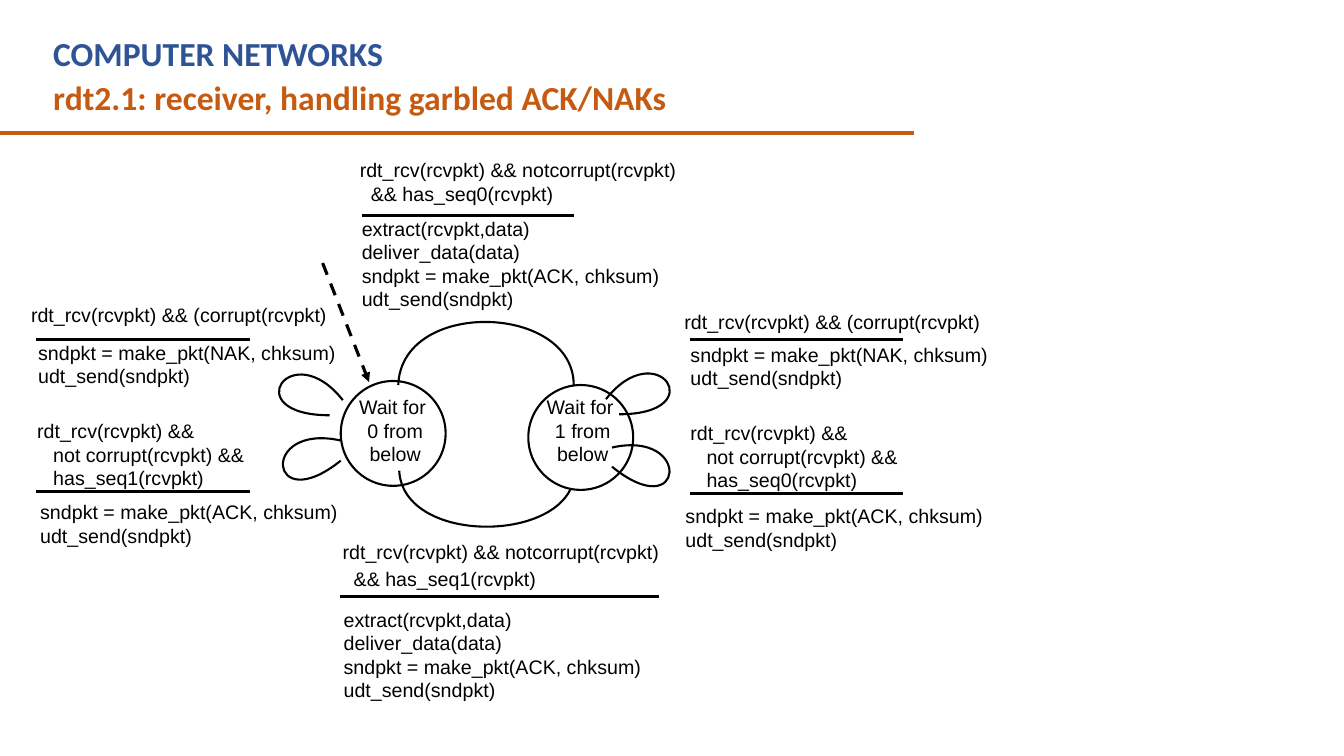
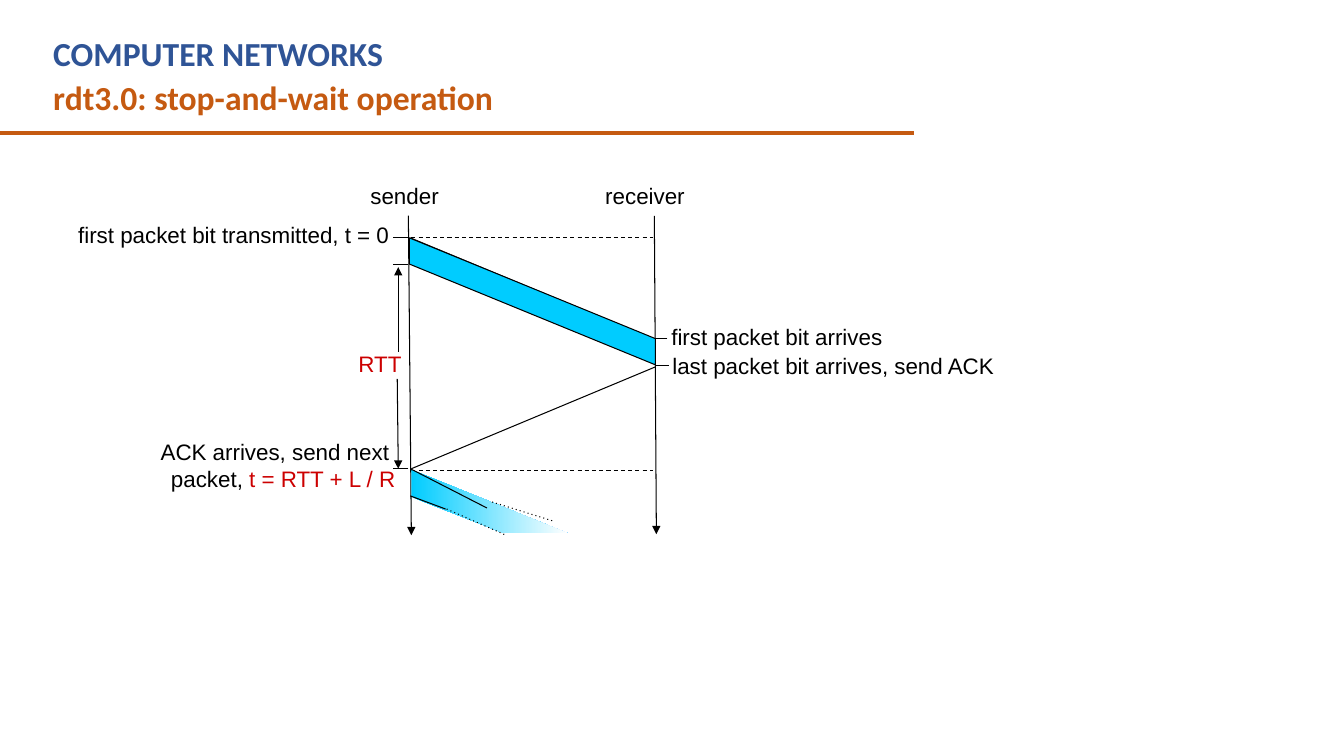
from dataclasses import dataclass
from math import cos, radians, sin

from lxml.etree import SubElement
from pptx import Presentation
from pptx.dml.color import RGBColor
from pptx.enum.shapes import MSO_CONNECTOR as Connector, MSO_SHAPE as Preset
from pptx.enum.text import PP_ALIGN as Align
from pptx.oxml.ns import qn
from pptx.shapes.autoshape import Shape
from pptx.slide import Slide
from pptx.util import Inches, Pt

Point = tuple[float, float]


@dataclass(frozen=True)
class Theme:
    blue: RGBColor = RGBColor(0x2F, 0x54, 0x96)
    orange: RGBColor = RGBColor(0xC5, 0x5A, 0x11)
    black: RGBColor = RGBColor(0, 0, 0)
    white: RGBColor = RGBColor(255, 255, 255)
    red: RGBColor = RGBColor(0xCC, 0, 0)
    cyan: RGBColor = RGBColor(0, 0xCC, 0xFF)
    title_font: str = "Calibri"
    body_font: str = "Arial"
    title_size: float = 24
    code_size: float = 14
    label_size: float = 16
    title_rule: float = 3
    thick: float = 2.25
    outline: float = 1.5
    thin: float = 0.75


THEME = Theme()


@dataclass(frozen=True)
class Line:
    text: str
    accent: str = ""
    indent: float = 0
    before: float = 0


@dataclass(frozen=True)
class Label:
    left: float
    top: float
    width: float
    height: float
    lines: tuple[Line, ...]
    align: Align = Align.LEFT
    size: float = THEME.code_size
    font: str = THEME.body_font
    color: RGBColor = THEME.black
    bold: bool = False
    filled: bool = False


@dataclass(frozen=True)
class Stroke:
    start: Point
    end: Point
    width: float = THEME.thin
    color: RGBColor = THEME.black
    dash: str = ""
    arrow: bool = False


@dataclass(frozen=True)
class State:
    left: float
    top: float
    name: str
    label_top: float = 3.87


@dataclass(frozen=True)
class Curve:
    left: float
    top: float
    width: float
    height: float
    rotation: float
    points: tuple[Point, Point, Point, Point]


@dataclass(frozen=True)
class Transition:
    curve: Curve
    event: Label
    rule: Stroke
    action: Label


def draw_label(slide: Slide, label: Label) -> None:
    box = slide.shapes.add_textbox(
        Inches(label.left), Inches(label.top), Inches(label.width), Inches(label.height))
    if label.filled:
        box.fill.solid()
        box.fill.fore_color.rgb = THEME.white
    frame = box.text_frame
    frame.word_wrap = True
    for index, line in enumerate(label.lines):
        paragraph = frame.add_paragraph() if index else frame.paragraphs[0]
        paragraph.alignment = label.align
        if line.before:
            paragraph.space_before = Pt(line.before)
        if line.indent:
            properties = paragraph._p.get_or_add_pPr()
            properties.set("marL", str(Inches(line.indent)))
            properties.set("indent", "0")
        paragraph.font.name = label.font
        paragraph.font.size = Pt(label.size)
        paragraph.font.bold = label.bold
        paragraph.font.color.rgb = label.color
        if line.text:
            paragraph.add_run().text = line.text
        if line.accent:
            run = paragraph.add_run()
            run.text = line.accent
            run.font.color.rgb = THEME.red


def draw_stroke(slide: Slide, stroke: Stroke) -> None:
    connector = slide.shapes.add_connector(
        Connector.STRAIGHT, *(Inches(value) for value in stroke.start + stroke.end))
    connector.line.color.rgb = stroke.color
    connector.line.width = Pt(stroke.width)
    outline = connector.line._get_or_add_ln()
    if stroke.dash:
        SubElement(outline, qn("a:prstDash"), val=stroke.dash)
    if stroke.arrow:
        SubElement(outline, qn("a:tailEnd"), type="triangle")
    SubElement(connector._element.spPr, qn("a:effectLst"))


def draw_outline(slide: Slide, points: list[Point]) -> Shape:
    corners = [(Inches(x), Inches(y)) for x, y in points]
    builder = slide.shapes.build_freeform(*corners[0])
    builder.add_line_segments(corners[1:], close=True)
    shape = builder.convert_to_shape()
    shape.shadow.inherit = False
    return shape


def set_outline(shape: Shape, width: float) -> None:
    shape.line.color.rgb = THEME.black
    shape.line.width = Pt(width)


def draw_curve(slide: Slide, curve: Curve) -> None:
    right, bottom = curve.left + curve.width, curve.top + curve.height
    shape = draw_outline(slide, [(curve.left, curve.top), (right, curve.top), (right, bottom),
                                 (curve.left, bottom)])
    shape.fill.background()
    set_outline(shape, THEME.outline)
    shape.rotation = curve.rotation
    outline = next(shape._element.iter(qn("a:path")))
    for child in list(outline):
        outline.remove(child)
    move = SubElement(outline, qn("a:moveTo"))
    bend = SubElement(outline, qn("a:cubicBezTo"))
    angle = radians(-curve.rotation)
    for index, (x, y) in enumerate(curve.points):
        dx, dy = x - curve.left - curve.width / 2, y - curve.top - curve.height / 2
        local_x = dx * cos(angle) - dy * sin(angle) + curve.width / 2
        local_y = dx * sin(angle) + dy * cos(angle) + curve.height / 2
        SubElement(bend if index else move, qn("a:pt"),
                   x=str(Inches(local_x)), y=str(Inches(local_y)))


def draw_state(slide: Slide, state: State) -> None:
    diameter = 1.04
    circle = slide.shapes.add_shape(
        Preset.OVAL, Inches(state.left), Inches(state.top), Inches(diameter), Inches(diameter))
    circle.shadow.inherit = False
    circle.fill.solid()
    circle.fill.fore_color.rgb = THEME.white
    set_outline(circle, THEME.outline)
    draw_label(slide, Label(state.left + 0.02, state.label_top, diameter, 0.52,
                            (Line("Wait for "), Line(state.name)), Align.CENTER))


def draw_transition(slide: Slide, transition: Transition) -> None:
    draw_curve(slide, transition.curve)
    draw_label(slide, transition.event)
    draw_stroke(slide, transition.rule)
    draw_label(slide, transition.action)


def add_titled_slide(presentation: Presentation, title: str) -> Slide:
    slide = presentation.slides.add_slide(presentation.slide_layouts[6])
    for top, width, text, color in ((0.28, 8.2, "COMPUTER NETWORKS", THEME.blue),
                                    (0.71, 9.63, title, THEME.orange)):
        draw_label(slide, Label(0.43, top, width, 0.5, (Line(text),), size=THEME.title_size,
                                font=THEME.title_font, color=color, bold=True))
    draw_stroke(slide, Stroke((0, 1.32), (9.07, 1.32), THEME.title_rule, THEME.orange))
    return slide


def reply(kind: str) -> tuple[Line, ...]:
    return Line(f"sndpkt = make_pkt({kind}, chksum)"), Line("udt_send(sndpkt)")


def expected(number: int, before: float = 0) -> tuple[Line, ...]:
    return (Line("rdt_rcv(rcvpkt) && notcorrupt(rcvpkt)"),
            Line(f"&& has_seq{number}(rcvpkt)", indent=0.11, before=before))


def duplicate(number: int) -> tuple[Line, ...]:
    return (Line("rdt_rcv(rcvpkt) &&"),
            Line("not corrupt(rcvpkt) &&", indent=0.16),
            Line(f"has_seq{number}(rcvpkt)", indent=0.16))


def rule(left: float, right: float, y: float) -> Stroke:
    return Stroke((left, y), (right, y), THEME.thick)


CORRUPT = (Line("rdt_rcv(rcvpkt) && (corrupt(rcvpkt)"),)
DELIVER = (Line("extract(rcvpkt,data)"), Line("deliver_data(data)")) + reply("ACK")

TO_STATE_0 = Transition(
    Curve(3.96, 4.67, 1.74, 0.75, 0, ((3.96, 4.67), (4, 5.43), (5.7, 5.39), (5.7, 4.67))),
    Label(3.3, 5.31, 3.92, 0.62, expected(1, before=2)),
    rule(3.37, 6.54, 5.92),
    Label(3.31, 5.98, 4.21, 1.09, DELIVER))

OTHER_TRANSITIONS = (
    Transition(Curve(3.95, 2.96, 1.74, 0.86, 180,
                     ((3.95, 3.82), (3.98, 2.96), (5.69, 3.01), (5.69, 3.82))),
               Label(3.47, 1.52, 4.35, 0.62, expected(0)),
               rule(3.59, 5.69, 2.14),
               Label(3.49, 2.1, 3.8, 0.77, DELIVER)),
    Transition(Curve(6, 3.37, 0.92, 0.94, 337.3,
                     ((6.14, 4.11), (7.07, 4.11), (6.52, 3.31), (6.01, 3.96))),
               Label(6.69, 3.03, 3.14, 0.67, CORRUPT),
               rule(6.84, 8.96, 3.37),
               Label(6.75, 3.35, 3.31, 0.45, reply("NAK"))),
    Transition(Curve(6.03, 4.17, 0.92, 0.94, 17,
                     ((6.07, 4.63), (6.79, 5.22), (6.87, 4.26), (6.07, 4.44))),
               Label(6.75, 4.13, 2.87, 0.67, duplicate(0)),
               rule(6.84, 8.96, 4.9),
               Label(6.7, 4.95, 3.22, 0.45, reply("ACK"))),
    Transition(Curve(2.5, 4.1, 0.92, 0.94, 343,
                     ((3.38, 4.57), (2.66, 5.15), (2.57, 4.19), (3.38, 4.37))),
               Label(0.27, 4.11, 2.87, 0.67, duplicate(1)),
               rule(0.36, 2.48, 4.88),
               Label(0.3, 4.91, 3.22, 0.45, reply("ACK"))),
    Transition(Curve(2.49, 3.39, 0.92, 0.94, 22.7,
                     ((3.27, 4.12), (2.34, 4.12), (2.89, 3.32), (3.4, 3.97))),
               Label(0.21, 2.96, 3.14, 0.67, CORRUPT),
               rule(0.36, 2.48, 3.37),
               Label(0.28, 3.33, 3.31, 0.45, reply("NAK"))),
)


def timing_label(left: float, top: float, width: float, height: float, *lines: Line,
                 align: Align = Align.RIGHT, filled: bool = False) -> Label:
    return Label(left, top, width, height, lines, align, THEME.label_size, filled=filled)


TIMING_LABELS = (
    timing_label(0.43, 2.14, 3.53, 0.39, Line("first packet bit transmitted, t = 0"), filled=True),
    timing_label(3.48, 1.76, 0.97, 0.38, Line("sender"), filled=True),
    timing_label(5.86, 1.76, 1.03, 0.38, Line("receiver"), filled=True),
    timing_label(3.15, 3.42, 0.93, 0.37, Line("", "RTT")),
    timing_label(6.56, 3.16, 2.65, 0.39, Line("first packet bit arrives"), align=Align.LEFT),
    timing_label(6.57, 3.44, 3.41, 0.62, Line("last packet bit arrives, send ACK"),
                 align=Align.LEFT),
    timing_label(1.08, 4.3, 2.94, 0.69, Line("ACK arrives, send next "),
                 Line("packet, ", "t = RTT + L / R")),
)

TIME_AXES = (Stroke((4.05, 2.12), (4.08, 5.31), arrow=True),
             Stroke((6.49, 2.14), (6.51, 5.3), arrow=True))

TIMING_STROKES = (
    Stroke((4.07, 2.36), (6.5, 3.37)),
    *(Stroke((4.08, y), (6.48, y), dash="dash") for y in (2.36, 4.67)),
    Stroke((4.08, 4.65), (6.5, 3.64)),
    *(Stroke((4.05, y), (3.9, y)) for y in (2.36, 2.62, 4.65)),
    Stroke((6.62, 3.36), (6.47, 3.36)),
    Stroke((6.5, 3.63), (6.64, 3.63)),
    Stroke((3.94, 3.76), (3.95, 4.65), arrow=True),
    Stroke((3.95, 3.49), (3.95, 2.65), arrow=True),
)

NEXT_PACKET_EDGES = (
    Stroke((4.07, 4.65), (4.83, 5.04)),
    Stroke((4.88, 4.98), (5.49, 5.17), dash="dot"),
    Stroke((4.07, 4.92), (4.42, 5.05)),
    Stroke((4.43, 5.05), (5.02, 5.31), dash="dot"),
)


def build_receiver_slide(presentation: Presentation) -> None:
    slide = add_titled_slide(presentation, "rdt2.1: receiver, handling garbled ACK/NAKs")
    draw_state(slide, State(3.38, 3.78, "0 from below"))
    draw_stroke(slide, Stroke((3.2, 2.61), (3.66, 3.79), THEME.thick, dash="dash", arrow=True))
    draw_transition(slide, TO_STATE_0)
    draw_state(slide, State(5.24, 3.82, "1 from below"))
    for transition in OTHER_TRANSITIONS:
        draw_transition(slide, transition)


def build_timing_slide(presentation: Presentation) -> None:
    slide = add_titled_slide(presentation, "rdt3.0: stop-and-wait operation")
    for stroke in TIME_AXES:
        draw_stroke(slide, stroke)
    for label in TIMING_LABELS:
        draw_label(slide, label)
    for stroke in TIMING_STROKES:
        draw_stroke(slide, stroke)
    packet = draw_outline(slide, [(4.06, 2.36), (6.5, 3.36), (6.5, 3.62), (4.06, 2.62)])
    packet.fill.solid()
    packet.fill.fore_color.rgb = THEME.cyan
    set_outline(packet, THEME.thin)
    following = draw_outline(slide, [(4.08, 4.66), (5.63, 5.29), (5, 5.29), (4.08, 4.93)])
    following.fill.gradient()
    following.fill.gradient_angle = 0
    for stop, color in zip(following.fill.gradient_stops, (THEME.cyan, THEME.white)):
        stop.color.rgb = color
    following.line.fill.background()
    for stroke in NEXT_PACKET_EDGES:
        draw_stroke(slide, stroke)


def main() -> None:
    presentation = Presentation()
    presentation.slide_width, presentation.slide_height = Inches(13.33), Inches(7.5)
    build_receiver_slide(presentation)
    build_timing_slide(presentation)
    presentation.save("out.pptx")


if __name__ == "__main__":
    main()
